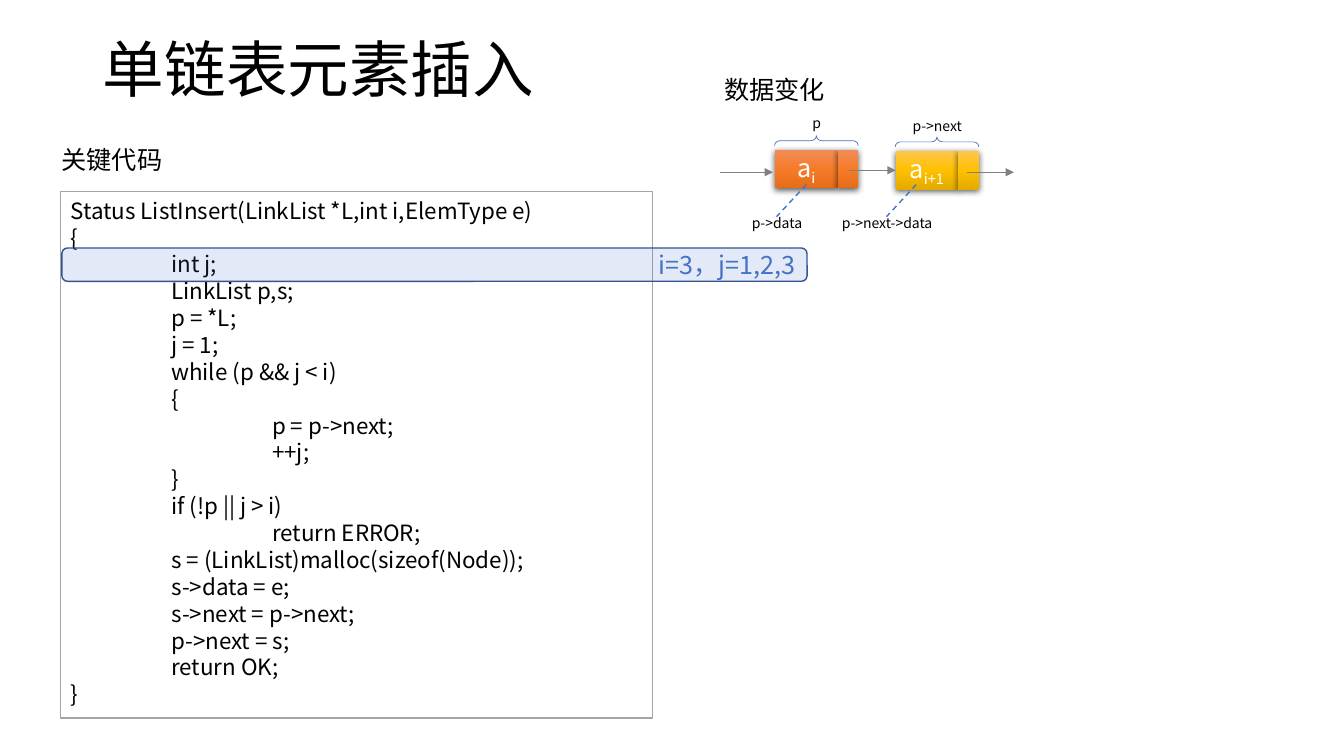
from dataclasses import dataclass

from lxml import etree
from pptx import Presentation
from pptx.dml.color import RGBColor
from pptx.enum import dml, shapes, text
from pptx.oxml.ns import qn
from pptx.util import Cm, Pt


@dataclass(frozen=True)
class Theme:
    font: str = "Noto Sans CJK SC"
    black: str = "000000"
    white: str = "FFFFFF"
    gray: str = "808080"
    frame: str = "A5A5A5"
    blue: str = "4472C4"
    dark_blue: str = "325491"
    orange: tuple = ("F18C57", "F67B28", "E56C19")
    gold: tuple = ("FFC64B", "FFC000", "E3AB00")
    title: int = 44
    heading: int = 18
    code: int = 16
    label: int = 10


theme = Theme()


def add_run(paragraph, words, size, color=theme.black, baseline=0):
    run = paragraph.add_run()
    run.text = words
    run.font.size = Pt(size)
    run.font.name = theme.font
    run.font.color.rgb = RGBColor.from_string(color)
    properties = run.font._element
    etree.SubElement(properties, qn("a:ea"), typeface=theme.font)
    if baseline:
        properties.set("baseline", str(baseline * 1000))


def add_line(x1, y1, x2, y2, color, dashed=False):
    """Draw a dashed pointer line, or a solid line with an arrowhead."""
    connector = slide.shapes.add_connector(
        shapes.MSO_CONNECTOR.STRAIGHT, Cm(x1), Cm(y1), Cm(x2), Cm(y2))
    connector.line.width = Pt(1)
    connector.line.color.rgb = RGBColor.from_string(color)
    if dashed:
        connector.line.dash_style = dml.MSO_LINE.DASH
    else:
        etree.SubElement(connector.line._get_or_add_ln(), qn("a:tailEnd"), type="triangle")
    etree.SubElement(connector._element.spPr, qn("a:effectLst"))


presentation = Presentation()
presentation.slide_width, presentation.slide_height = Cm(33.87), Cm(19.05)
slide = presentation.slides.add_slide(presentation.slide_layouts[5])

# Title
title = slide.shapes.title
title.left, title.top, title.width, title.height = Cm(2.34), Cm(0), Cm(29.21), Cm(3.68)
title.text_frame.auto_size = text.MSO_AUTO_SIZE.NONE
title.text_frame.vertical_anchor = text.MSO_ANCHOR.MIDDLE
paragraph = title.text_frame.paragraphs[0]
paragraph.alignment = text.PP_ALIGN.LEFT
paragraph.line_spacing = 0.9
add_run(paragraph, "单链表元素插入", theme.title)

# Code listing
code = """Status ListInsert(LinkList *L,int i,ElemType e)
{
\tint j;
\tLinkList p,s;
\tp = *L;
\tj = 1;
\twhile (p && j < i)
\t{
\t\tp = p->next;
\t\t++j;
\t}
\tif (!p || j > i)
\t\treturn ERROR;
\ts = (LinkList)malloc(sizeof(Node));
\ts->data = e;
\ts->next = p->next;
\tp->next = s;
\treturn OK;
}"""
listing = slide.shapes.add_shape(
    shapes.MSO_SHAPE.RECTANGLE, Cm(1.53), Cm(4.83), Cm(14.91), Cm(13.26))
listing.shadow.inherit = False
listing.fill.solid()
listing.fill.fore_color.rgb = RGBColor.from_string(theme.white)
listing.line.color.rgb = RGBColor.from_string(theme.frame)
listing.line.width = Pt(1)
frame = listing.text_frame
frame.vertical_anchor = text.MSO_ANCHOR.TOP
frame.margin_top = Cm(0.13)
for number, code_line in enumerate(code.split("\n")):
    paragraph = frame.add_paragraph() if number else frame.paragraphs[0]
    paragraph.alignment = text.PP_ALIGN.LEFT
    paragraph.line_spacing = Pt(19.2)
    tab_stops = etree.SubElement(paragraph._p.get_or_add_pPr(), qn("a:tabLst"))
    for depth in (1, 2):
        etree.SubElement(tab_stops, qn("a:tab"), pos=str(Cm(2.54 * depth)), algn="l")
    add_run(paragraph, code_line, theme.code)

# Highlight over the current code line
highlight = slide.shapes.add_shape(
    shapes.MSO_SHAPE.ROUNDED_RECTANGLE, Cm(1.56), Cm(6.25), Cm(18.78), Cm(0.84))
highlight.shadow.inherit = False
highlight.fill.solid()
highlight.fill.fore_color.rgb = RGBColor.from_string(theme.blue)
fill_color = highlight._element.spPr.find(qn("a:solidFill"))[0]
etree.SubElement(fill_color, qn("a:alpha"), val="15000")
highlight.line.color.rgb = RGBColor.from_string(theme.dark_blue)
highlight.line.width = Pt(1)
highlight.text_frame.vertical_anchor = text.MSO_ANCHOR.MIDDLE
paragraph = highlight.text_frame.paragraphs[0]
paragraph.alignment = text.PP_ALIGN.RIGHT
add_run(paragraph, "i=3，j=1,2,3", theme.heading, theme.blue)

# List nodes: a data cell and a pointer cell, with a brace above
for left, top, index, colors in ((19.53, 3.78, "i", theme.orange),
                                 (22.57, 3.81, "i+1", theme.gold)):
    for cell_left, width in ((left, 1.58), (left + 1.58, 0.52)):
        cell = slide.shapes.add_shape(
            shapes.MSO_SHAPE.RECTANGLE, Cm(cell_left), Cm(top), Cm(width), Cm(0.97))
        cell.line.fill.background()
        cell.fill.gradient()
        cell.fill.gradient_angle = 270
        properties = cell._element.spPr
        stops = properties.find(".//" + qn("a:gsLst"))
        stops.clear()
        for position, color in zip((0, 50000, 100000), colors):
            stop = etree.SubElement(stops, qn("a:gs"), pos=str(position))
            etree.SubElement(stop, qn("a:srgbClr"), val=color)
        cell.shadow.inherit = False
        shadow = etree.SubElement(
            properties.find(qn("a:effectLst")), qn("a:outerShdw"),
            blurRad=str(Pt(4.5)), dist=str(Pt(1.5)), dir="5400000", rotWithShape="0")
        shadow_color = etree.SubElement(shadow, qn("a:srgbClr"), val=theme.black)
        etree.SubElement(shadow_color, qn("a:alpha"), val="63000")
        if cell_left == left:
            cell.text_frame.vertical_anchor = text.MSO_ANCHOR.MIDDLE
            paragraph = cell.text_frame.paragraphs[0]
            paragraph.alignment = text.PP_ALIGN.CENTER
            add_run(paragraph, "a", theme.heading, theme.white)
            add_run(paragraph, index, theme.heading, theme.white, baseline=-25)

    brace = slide.shapes.add_shape(
        shapes.MSO_SHAPE.RIGHT_BRACE, Cm(left + 0.92), Cm(top - 1.29), Cm(0.25), Cm(2.11))
    brace.rotation = 270
    brace.adjustments[0] = 0.537
    brace.shadow.inherit = False
    brace.fill.background()
    brace.line.color.rgb = RGBColor.from_string(theme.blue)
    brace.line.width = Pt(0.5)

# Links between nodes and pointers to the data labels
for start, end, y in ((18.14, 19.48, 4.34), (21.39, 22.57, 4.29), (24.38, 25.55, 4.34)):
    add_line(start, y, end, y, theme.gray)
for start in (20.32, 23.09):
    add_line(start, 4.65, start - 0.75, 5.46, theme.blue, dashed=True)

# Headings and small labels
center, left_aligned = text.PP_ALIGN.CENTER, text.PP_ALIGN.LEFT
for words, left, top, width, height, size, alignment in (
        ("关键代码", 1.3, 3.51, 3.18, 1.02, theme.heading, left_aligned),
        ("数据变化", 18, 1.75, 3.07, 1.02, theme.heading, left_aligned),
        ("p", 19.93, 2.77, 1.3, 0.69, theme.label, center),
        ("p->next", 22.64, 2.84, 1.96, 0.69, theme.label, center),
        ("p->data", 18.6, 5.28, 1.96, 0.69, theme.label, center),
        ("p->next->data", 20.73, 5.28, 3.25, 0.69, theme.label, center)):
    box = slide.shapes.add_textbox(Cm(left), Cm(top), Cm(width), Cm(height))
    box.text_frame.word_wrap = alignment == center
    paragraph = box.text_frame.paragraphs[0]
    paragraph.alignment = alignment
    add_run(paragraph, words, size)

presentation.save("out.pptx")
